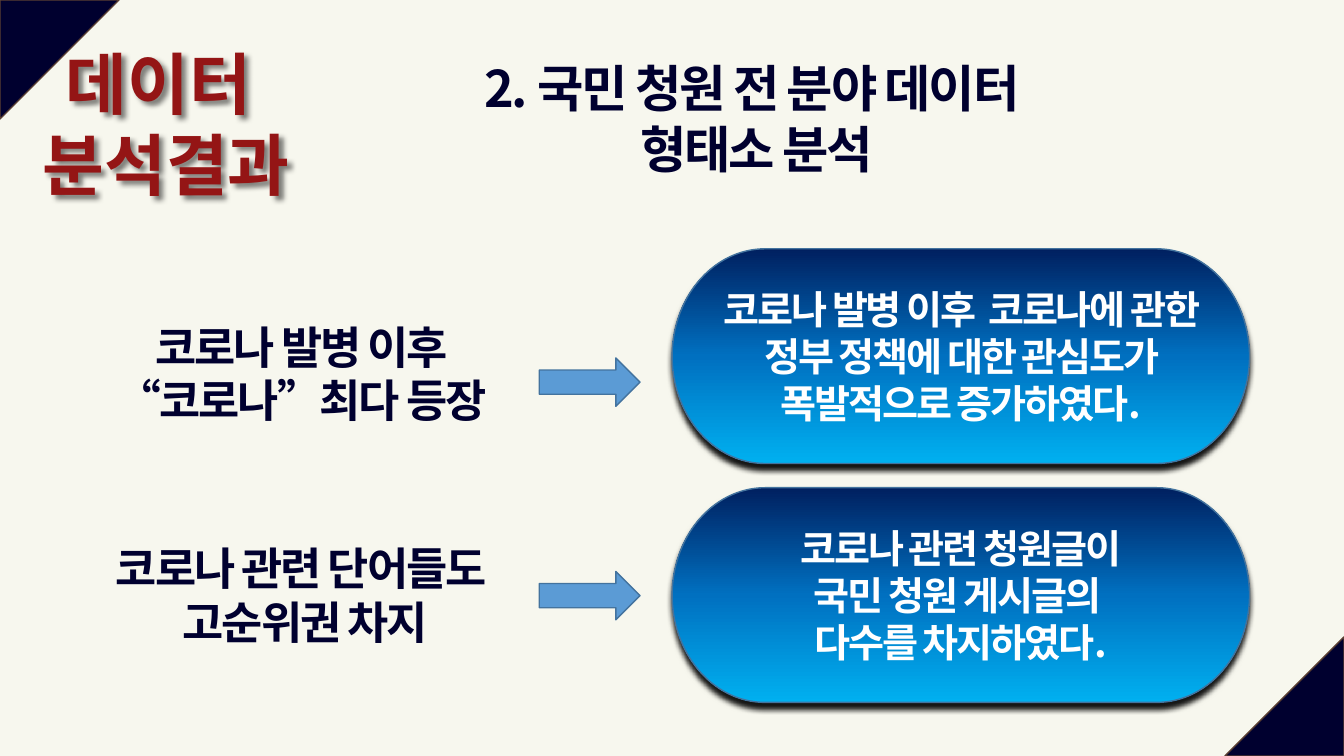
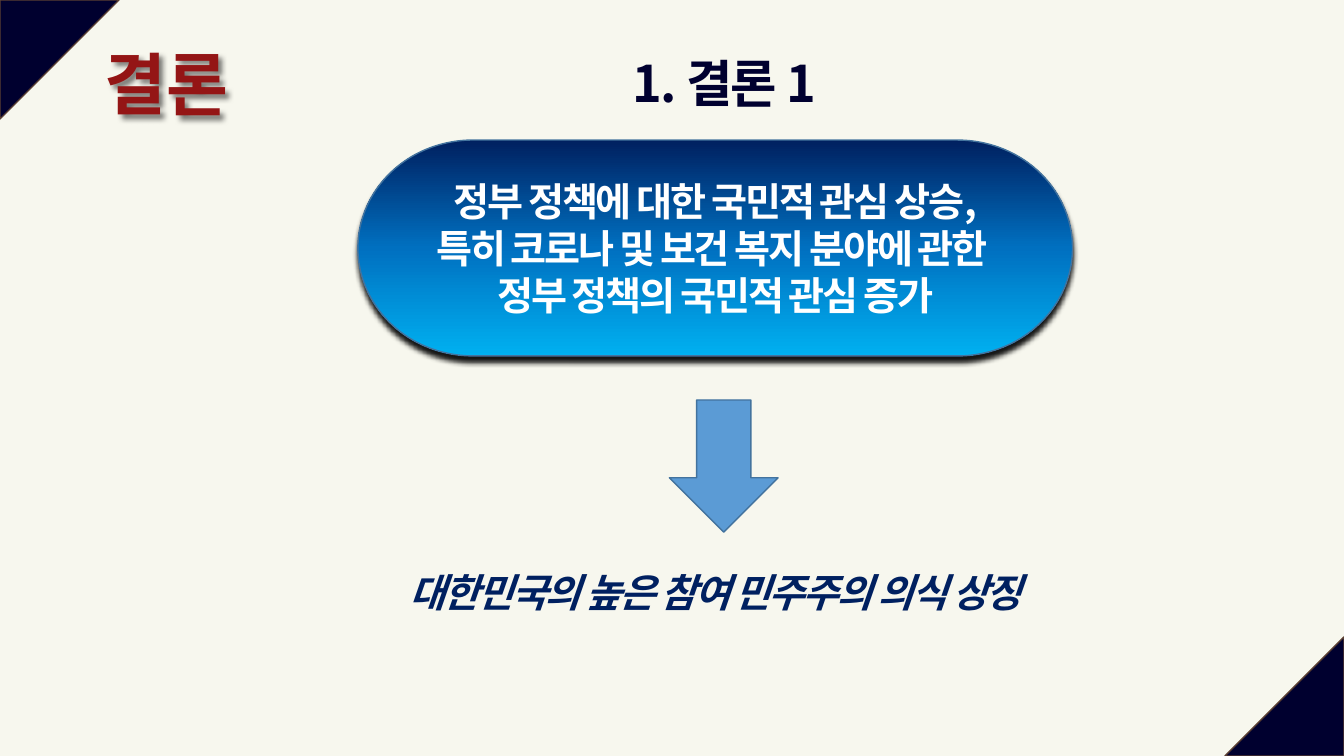
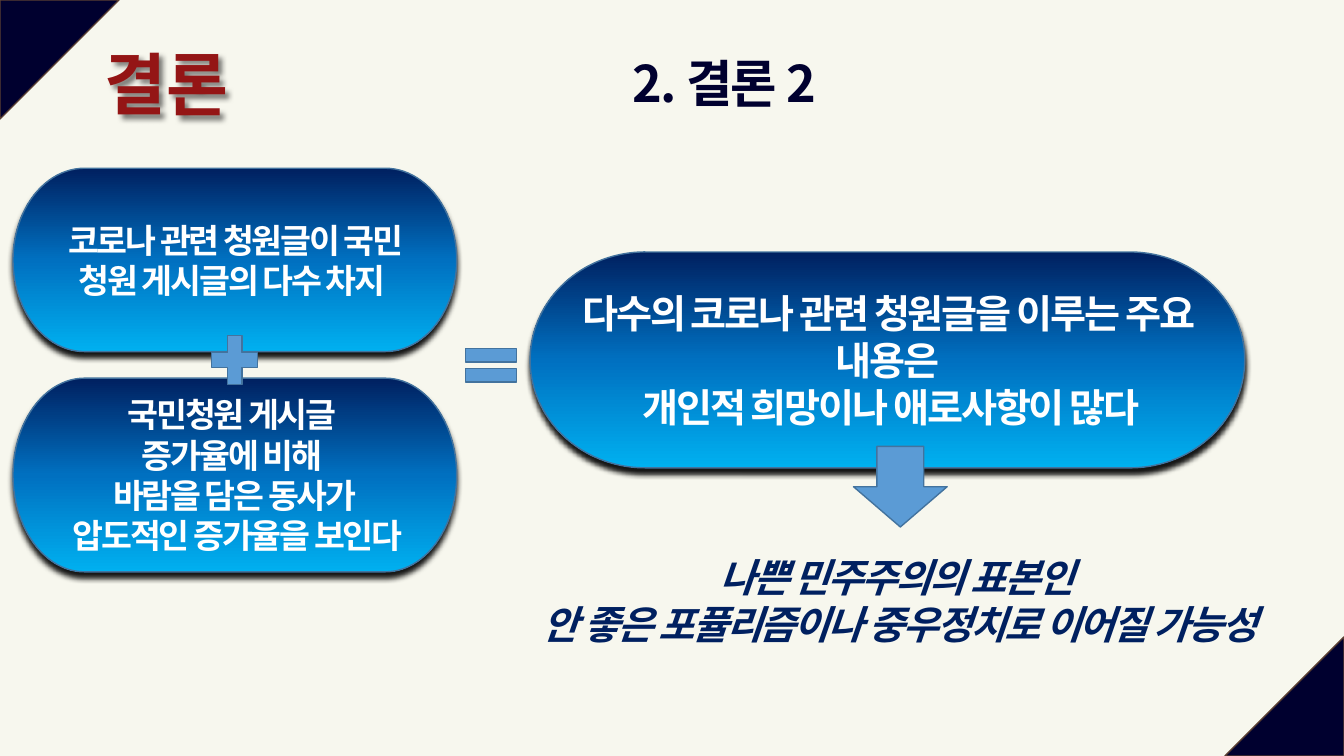
from copy import deepcopy

from lxml import etree
from pptx import Presentation
from pptx import util as u
from pptx.dml.color import RGBColor
from pptx.enum import shapes, text
from pptx.oxml import ns

# Colours
CREAM = RGBColor(0xF7, 0xF7, 0xEE)
NAVY = RGBColor(0x00, 0x00, 0x2F)
BROWN = RGBColor(0x5B, 0x3F, 0x33)
RED = RGBColor(0x94, 0x15, 0x15)
WHITE = RGBColor(0xFF, 0xFF, 0xFF)
DEEP_BLUE = RGBColor(0x00, 0x20, 0x60)
MID_BLUE = RGBColor(0x00, 0x70, 0xC0)
SKY_BLUE = RGBColor(0x00, 0xB0, 0xF0)
SIGN_BLUE = RGBColor(0x5B, 0x9B, 0xD5)
OUTLINE = RGBColor(0x43, 0x73, 0x9E)

FONT = "Noto Sans CJK KR"
WIDTH, HEIGHT, CORNER = 33.87, 19.05, 3
GRADIENT = ((0, DEEP_BLUE), (0.5, MID_BLUE), (1, SKY_BLUE))
SHAPE = shapes.MSO_SHAPE

# Text styles: font values, colour and letter spacing
SECTION = {"font": {"size": u.Pt(48)}, "color": RED, "spacing": 0}
TITLE = {"font": {"size": u.Pt(36)}, "color": NAVY, "spacing": -150}
FINDING = {"font": {"size": u.Pt(32)}, "color": NAVY, "spacing": -150}
MESSAGE = {"font": {"size": u.Pt(28)}, "color": WHITE, "spacing": -150}
SMALL_MESSAGE = {"font": {"size": u.Pt(24)}, "color": WHITE, "spacing": -150}
CLOSING = {"font": {"size": u.Pt(28), "italic": True}, "color": DEEP_BLUE, "spacing": -150}


def cm(*lengths):
    return [u.Cm(length) for length in lengths]


class Deck:
    """Holds the shared style and the current slide."""

    def __init__(self):
        self.presentation = Presentation()
        self.presentation.slide_width, self.presentation.slide_height = cm(WIDTH, HEIGHT)
        fill = self.presentation.slide_master.background.fill
        fill.solid()
        fill.fore_color.rgb = CREAM
        self.layout = self.presentation.slide_layouts[5]
        self.slide = None

    def new_slide(self, section, title, title_box):
        first = self.slide is None
        self.slide = self.presentation.slides.add_slide(self.layout)
        if first:
            self.add_corners()
        heading = self.text_box((0.48, 0.94, 7.42, 2.05 * len(section) + 0.26), section, SECTION)
        self.shadow(heading, distance=4, angle=45, opacity=50)
        placeholder = self.slide.shapes.title
        placeholder.left, placeholder.top, placeholder.width, placeholder.height = cm(*title_box)
        self.set_text(placeholder, title, TITLE, text.MSO_ANCHOR.TOP)

    def add_corners(self):
        # Corner triangles belong to the layout, so every slide shows them
        for left, top, rotation in ((0, 0, 90), (WIDTH - CORNER, HEIGHT - CORNER, 270)):
            corner = self.sign(SHAPE.RIGHT_TRIANGLE, (left, top, CORNER, CORNER), NAVY, BROWN)
            corner.rotation = rotation
            self.layout.shapes.element.append(corner.element)

    def set_text(self, shape, lines, style, anchor):
        frame = shape.text_frame
        frame.word_wrap = True
        frame.auto_size = text.MSO_AUTO_SIZE.NONE
        frame.vertical_anchor = anchor
        for index, line in enumerate(lines):
            paragraph = frame.add_paragraph() if index else frame.paragraphs[0]
            paragraph.alignment = text.PP_ALIGN.CENTER
            run = paragraph.add_run()
            run.text = line
            for name, value in {"name": FONT, "bold": True, **style["font"]}.items():
                setattr(run.font, name, value)
            run.font.color.rgb = style["color"]
            properties = run.font._element
            properties.set("spc", str(style["spacing"]))
            etree.SubElement(properties, ns.qn("a:ea"), typeface=FONT)

    def text_box(self, box, lines, style):
        shape = self.slide.shapes.add_textbox(*cm(*box))
        self.set_text(shape, lines, style, text.MSO_ANCHOR.TOP)
        return shape

    def shadow(self, shape, distance, angle, opacity):
        shape.shadow.inherit = False
        effects = shape.element.spPr.find(ns.qn("a:effectLst"))
        outer = etree.SubElement(effects, ns.qn("a:outerShdw"), blurRad=str(u.Pt(4)),
                                 dist=str(u.Pt(distance)), dir=str(angle * 60000),
                                 algn="t", rotWithShape="0")
        color = etree.SubElement(outer, ns.qn("a:srgbClr"), val="000000")
        etree.SubElement(color, ns.qn("a:alpha"), val=str(opacity * 1000))

    def sign(self, kind, box, color=SIGN_BLUE, outline=OUTLINE):
        shape = self.slide.shapes.add_shape(kind, *cm(*box))
        shape.shadow.inherit = False
        shape.fill.solid()
        shape.fill.fore_color.rgb = color
        shape.line.color.rgb = outline
        shape.line.width = u.Pt(1)
        return shape

    def pill(self, box, lines, style=MESSAGE):
        shape = self.sign(SHAPE.FLOWCHART_TERMINATOR, box)
        shape.fill.gradient()
        shape.fill.gradient_angle = 270
        stops = shape.element.spPr.find(".//" + ns.qn("a:gsLst"))
        stops.insert(1, deepcopy(stops[0]))
        for stop, (position, color) in zip(shape.fill.gradient_stops, GRADIENT):
            stop.position = position
            stop.color.rgb = color
        self.shadow(shape, distance=4, angle=90, opacity=91)
        self.set_text(shape, lines, style, text.MSO_ANCHOR.MIDDLE)


def main():
    deck = Deck()
    conclusion_title = (6.1, 1.19, 24.31, 1.8)

    # Morpheme analysis: each finding points to its meaning
    deck.new_slide(["데이터 ", "분석결과"], ["2. 국민 청원 전 분야 데이터", " 형태소 분석"],
                   (9.09, 1.32, 19.71, 3.33))
    rows = (
        (6.27, 9.02, (-0.94, 7.92, 17.09, 3), ["코로나 발병 이후", "“코로나”최다 등장"],
         ["코로나 발병 이후  코로나에 관한 정부 정책에 대한 관심도가 폭발적으로 증가하였다."]),
        (12.29, 14.4, (-1.55, 13.51, 18.29, 3), ["코로나 관련 단어들도", " 고순위권 차지"],
         ["코로나 관련 청원글이", "국민 청원 게시글의 ", "다수를 차지하였다."]),
    )
    for pill_top, arrow_top, finding_box, finding, meaning in rows:
        deck.pill((16.94, pill_top, 14.55, 5.41), meaning)
        deck.text_box(finding_box, finding, FINDING)
        deck.sign(SHAPE.RIGHT_ARROW, (13.59, arrow_top, 2.54, 1.22))

    # Conclusion 1
    deck.new_slide(["결론"], ["1. 결론 1"], conclusion_title)
    deck.pill((9.02, 3.53, 18.01, 5.44),
              ["정부 정책에 대한 국민적 관심 상승,", "특히 코로나 및 보건 복지 분야에 관한 ",
               "정부 정책의 국민적 관심 증가"])
    deck.sign(SHAPE.DOWN_ARROW, (16.87, 10.08, 2.74, 3.33))
    deck.text_box((7.72, 14.2, 20.62, 1.45), ["대한민국의 높은 참여 민주주의 의식 상징"], CLOSING)

    # Conclusion 2: two observations add up to one
    deck.new_slide(["결론"], ["2. 결론 2"], conclusion_title)
    deck.pill((0.33, 4.24, 11.18, 4.62),
              ["코로나 관련 청원글이 국민 청원 게시글의 다수 차지 "], SMALL_MESSAGE)
    deck.pill((0.33, 9.53, 11.18, 4.88),
              ["국민청원 게시글 ", "증가율에 비해 ", "바람을 담은 동사가",
               " 압도적인 증가율을 보인다"], SMALL_MESSAGE)
    deck.sign(SHAPE.MATH_PLUS, (5.13, 8.23, 1.57, 1.68))
    deck.sign(SHAPE.MATH_EQUAL, (11.51, 8.48, 1.73, 1.45))
    deck.text_box((12.37, 13.82, 20.62, 2.64),
                  ["나쁜 민주주의의 표본인 ", "안 좋은 포퓰리즘이나 중우정치로 이어질 가능성"], CLOSING)
    deck.pill((13.36, 6.35, 18.01, 5.44),
              ["다수의 코로나 관련 청원글을 이루는 주요 내용은", " 개인적 희망이나 애로사항이 많다"])
    deck.sign(SHAPE.DOWN_ARROW, (21.51, 11.25, 2.36, 2.03))

    deck.presentation.save("out.pptx")


if __name__ == "__main__":
    main()
